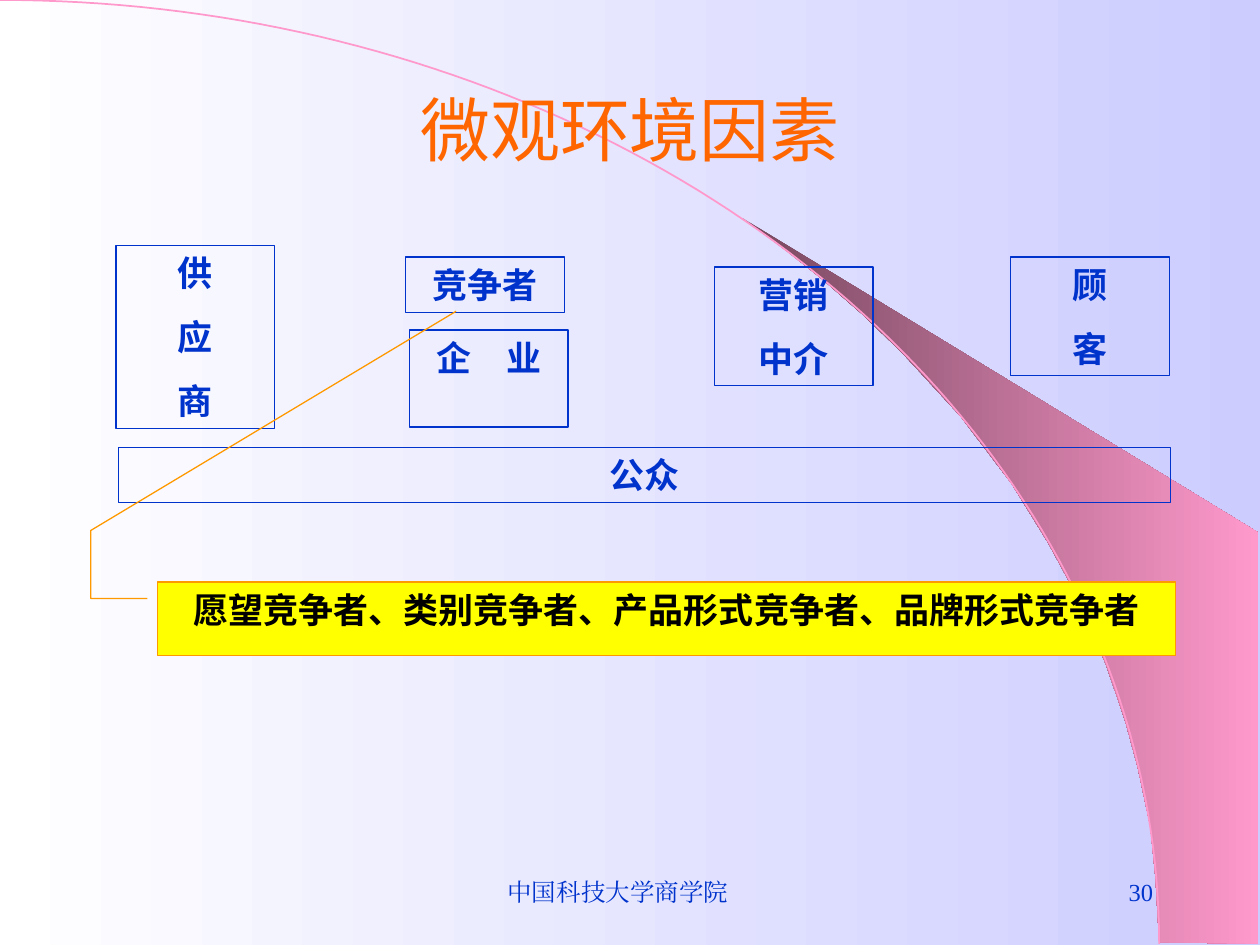
from math import cos, pi, sin

from pptx import Presentation
from pptx.dml.color import RGBColor
from pptx.enum.shapes import MSO_SHAPE as SHAPE
from pptx.enum.text import MSO_ANCHOR as ANCHOR, PP_ALIGN as ALIGN
from pptx.oxml.ns import qn
from pptx.util import Inches, Pt

WHITE = RGBColor(0xFF, 0xFF, 0xFF)
LAVENDER = RGBColor(0xCC, 0xCC, 0xFF)
PLUM = RGBColor(0x76, 0x47, 0x5E)
PINK = RGBColor(0xFF, 0x99, 0xCC)
ORANGE = RGBColor(0xFF, 0x66, 0x00)
AMBER = RGBColor(0xFF, 0x99, 0x00)
YELLOW = RGBColor(0xFF, 0xFF, 0x00)
BLUE = RGBColor(0x00, 0x33, 0xCC)
BLACK = RGBColor(0x00, 0x00, 0x00)

CJK, SERIF, TITLE_FONT = "Noto Sans CJK SC", "Times New Roman", "Karla"
BOX_TEXT = {"name": CJK, "size": Pt(20), "bold": True}
FOOTER_TEXT = {"name": SERIF, "size": Pt(14)}
BOX_W, ONE_LINE, TWO_LINES = 1.26, 0.44, 0.94

FACTORS = [
    ("公众", 0.94, 3.55, 8.35, ONE_LINE),
    ("顾\n客", 8.02, 2.04, BOX_W, TWO_LINES),
    ("供\n应\n商", 0.92, 1.95, BOX_W, 1.45),
    ("营销\n中介", 5.67, 2.12, BOX_W, TWO_LINES),
    ("竞争者", 3.22, 2.04, BOX_W, ONE_LINE),
    ("企　业", 3.25, 2.62, BOX_W, 0.77),
]

SWOOSH = [
    (9.2, 7.48), (9.99, 7.49), (9.99, 4.23), (5.89, 1.73), (6.24, 1.99),
    (6.53, 2.22), (6.85, 2.5), (7.16, 2.8), (7.62, 3.3), (8.03, 3.84),
    (8.32, 4.31), (8.58, 4.79), (8.78, 5.28), (8.93, 5.72), (9.03, 6.09),
    (9.13, 6.56), (9.17, 6.96),
]


def set_gradient(fill, start, end):
    """Left-to-right blend of two colours."""
    fill.gradient()
    fill.gradient_angle = 0
    for stop, color in zip(fill.gradient_stops, (start, end)):
        stop.color.rgb = color


def set_line(sp, color, width):
    sp.line.color.rgb = color
    sp.line.width = Pt(width)


def write(sp, text, color, font, align=ALIGN.CENTER, anchor=ANCHOR.TOP):
    """Fill a shape with one paragraph per line of text."""
    tf = sp.text_frame
    tf.word_wrap = True
    tf.vertical_anchor = anchor
    tf.text = text
    for i, p in enumerate(tf.paragraphs):
        p.alignment = align
        if i:
            p.space_before = Pt(12.5)
        for r in p.runs:
            for key, value in font.items():
                setattr(r.font, key, value)
            r.font.color.rgb = color
            ea = r.font._element.makeelement(qn("a:ea"), {"typeface": font["name"]})
            r.font._element.find(qn("a:latin")).addnext(ea)


def add_outline(slide, points, close):
    points = [(Inches(x), Inches(y)) for x, y in points]
    builder = slide.shapes.build_freeform(*points[0])
    builder.add_line_segments(points[1:], close=close)
    sp = builder.convert_to_shape()
    sp.shadow.inherit = False
    return sp


def add_backdrop(slide):
    set_gradient(slide.background.fill, WHITE, LAVENDER)
    swoosh = add_outline(slide, SWOOSH, close=True)
    set_gradient(swoosh.fill, PLUM, PINK)
    swoosh.line.fill.background()

    steps = 90
    angles = [pi / 2 * i / steps for i in range(steps + 1)]
    arc = add_outline(slide, [(9.2 * sin(a), 7.49 * (1 - cos(a))) for a in angles], close=False)
    arc.fill.background()
    set_line(arc, PINK, 1)


def add_title(slide, text):
    sp = slide.shapes.title
    slide.shapes._spTree.append(sp._element)  # in front of the backdrop
    sp.left, sp.top, sp.width, sp.height = map(Inches, (0.75, 0.55, 8.5, 0.94))
    write(sp, text, ORANGE, {"name": TITLE_FONT, "size": Pt(40)}, anchor=ANCHOR.MIDDLE)


def add_footer(slide, text, left, width, align):
    sp = slide.shapes.add_textbox(*map(Inches, (left, 6.83, width, 0.5)))
    write(sp, text, BLUE, FOOTER_TEXT, align, ANCHOR.MIDDLE)


def add_box(slide, text, left, top, width, height):
    sp = slide.shapes.add_shape(SHAPE.RECTANGLE, *map(Inches, (left, top, width, height)))
    sp.shadow.inherit = False
    sp.fill.background()
    set_line(sp, BLUE, 0.75)
    write(sp, text, BLUE, BOX_TEXT)


def add_callout(slide, text, left, top, width, height, leader):
    """Box with a bent leader line through the given slide points."""
    sp = slide.shapes.add_shape(SHAPE.LINE_CALLOUT_3, *map(Inches, (left, top, width, height)))
    for i, (x, y) in enumerate(leader):
        sp.adjustments[2 * i] = (y - top) / height
        sp.adjustments[2 * i + 1] = (x - left) / width
    sp.shadow.inherit = False
    sp.fill.solid()
    sp.fill.fore_color.rgb = YELLOW
    set_line(sp, AMBER, 0.75)
    write(sp, text, BLACK, BOX_TEXT)


def main():
    prs = Presentation()
    prs.slide_width, prs.slide_height = Inches(10), Inches(7.5)
    slide = prs.slides.add_slide(prs.slide_layouts[5])
    add_backdrop(slide)
    add_title(slide, "微观环境因素")
    add_footer(slide, "中国科技大学商学院", 3.32, 3.17, ALIGN.CENTER)
    add_footer(slide, "30", 7.17, 2.08, ALIGN.RIGHT)
    for factor in FACTORS:
        add_box(slide, *factor)
    add_callout(slide, "愿望竞争者、类别竞争者、产品形式竞争者、品牌形式竞争者",
                1.25, 4.62, 8.08, 0.58,
                [(1.17, 4.75), (0.72, 4.75), (0.72, 4.21), (3.62, 2.47)])
    prs.save("out.pptx")


if __name__ == "__main__":
    main()
